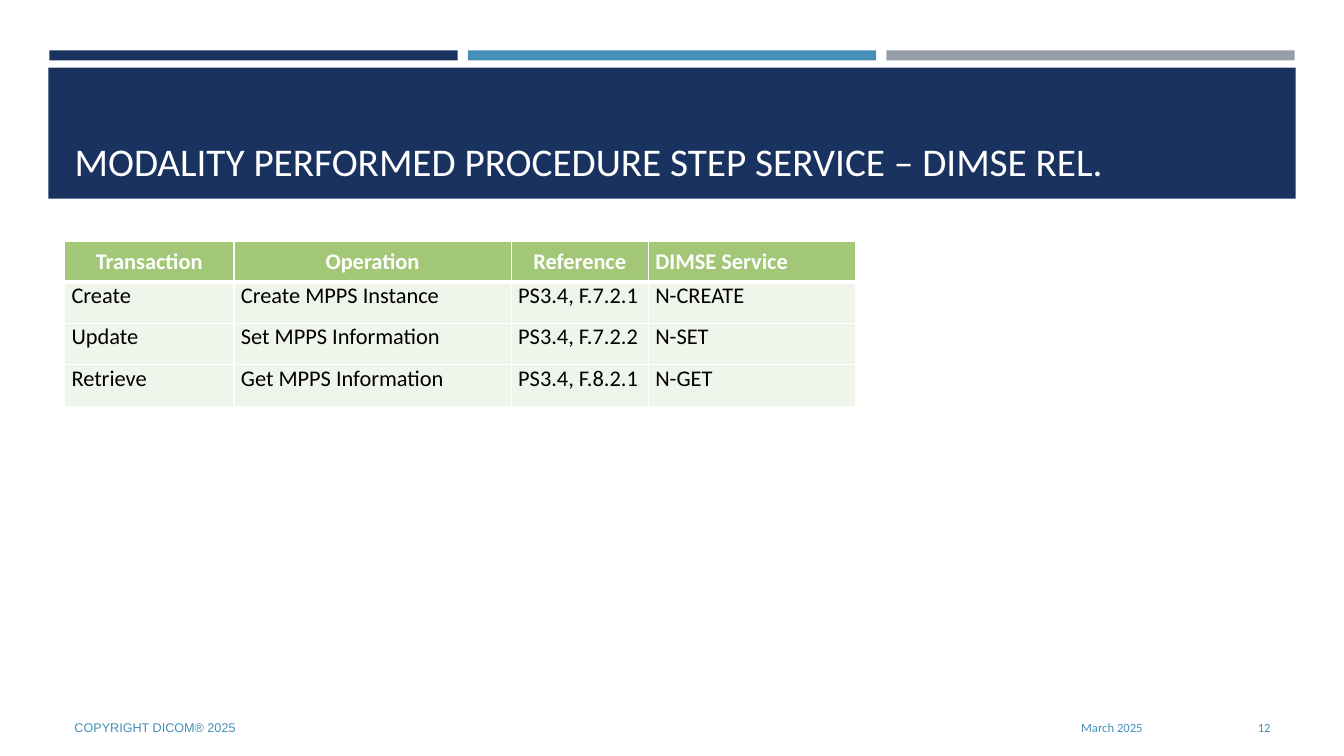
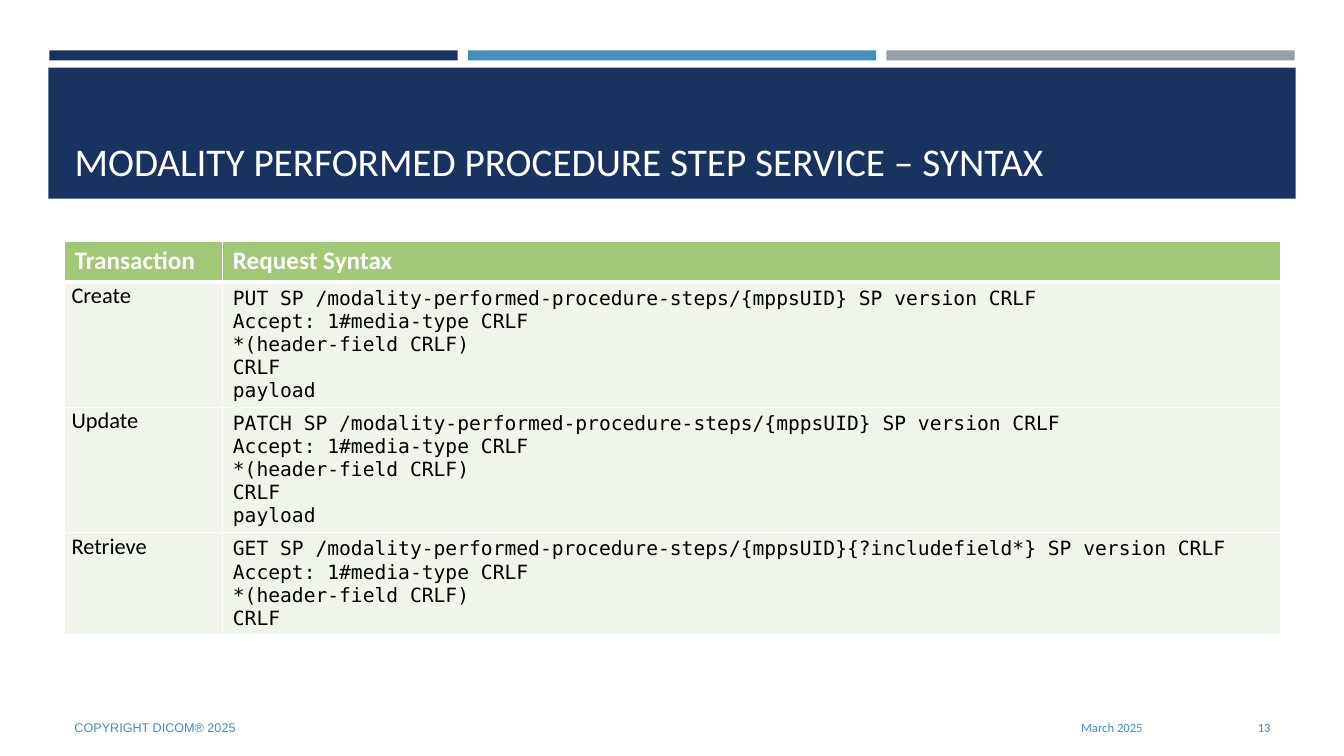
from dataclasses import dataclass, replace

from lxml.etree import SubElement
from pptx import Presentation
from pptx.dml.color import RGBColor
from pptx.enum.shapes import MSO_SHAPE
from pptx.enum.text import MSO_ANCHOR, MSO_AUTO_SIZE, PP_ALIGN
from pptx.oxml.ns import qn
from pptx.slide import Slide
from pptx.table import _Cell
from pptx.text.text import TextFrame
from pptx.util import Emu, Pt

EMU_PER_PX = 9144
NAVY, BLUE, GRAY = "1A3260", "4590B8", "969FA7"
GREEN, PALE_GREEN, WHITE, BLACK = "A2C777", "F0F5EC", "FFFFFF", "000000"
SLIDE_WIDTH, SLIDE_HEIGHT = 1333, 750
BAND_LEFT, BAND_TOP, BAND_WIDTH, BAND_STEP = 49, 50, 405, 415
TABLE_LEFT, TABLE_TOP = 64, 239
FOOTER_TOP, FOOTER_HEIGHT = 702, 40


@dataclass(frozen=True)
class Box:
    """A rectangle in px."""
    left: int
    top: int
    width: int
    height: int


@dataclass(frozen=True)
class TextStyle:
    """Character and paragraph format."""
    size: int
    color: str
    font: str = "Calibri"
    bold: bool = False
    align: PP_ALIGN = PP_ALIGN.LEFT
    spacing: int = 0


@dataclass(frozen=True)
class CellStyle:
    """Text format, placement and padding of a table cell."""
    text: TextStyle
    anchor: MSO_ANCHOR = MSO_ANCHOR.TOP
    margin_x: int = 10
    margin_y: int = 5


@dataclass(frozen=True)
class Footer:
    """One text at the foot of a slide."""
    text: str
    left: int
    width: int
    style: TextStyle


@dataclass(frozen=True)
class TableSlide:
    """Content of a slide with a title and a table."""
    number: int
    title: str
    columns: list[int]
    row_heights: list[int]
    header_styles: list[CellStyle]
    body_styles: list[CellStyle]
    rows: list[list[str]]


TITLE = TextStyle(28, WHITE)
FOOTER_RIGHT = TextStyle(9, BLUE, align=PP_ALIGN.RIGHT)
FOOTER_LEFT = TextStyle(9, BLUE, "Arial")
COMPACT = CellStyle(TextStyle(16, BLACK, spacing=2), margin_x=7, margin_y=0)
HEADING_TEXT = TextStyle(16, WHITE, bold=True, spacing=2)
HEADING = replace(COMPACT, text=HEADING_TEXT, anchor=MSO_ANCHOR.MIDDLE)
CENTERED_HEADING = replace(HEADING, text=replace(HEADING_TEXT, align=PP_ALIGN.CENTER))
LARGE_HEADING = CellStyle(TextStyle(18, WHITE, bold=True))
CODE = CellStyle(TextStyle(14, BLACK, "DejaVu Sans Mono"))

SERVICE = "MODALITY PERFORMED PROCEDURE STEP SERVICE – "
RESOURCE = "SP /modality-performed-procedure-steps/{mppsUID}"
REQUEST_END = " SP version CRLF\nAccept: 1#media-type CRLF\n*(header-field CRLF)\nCRLF"

SLIDES = [
    TableSlide(
        12, SERVICE + "DIMSE REL.", [168, 275, 136, 206], [41] * 4,
        [CENTERED_HEADING] * 3 + [HEADING], [COMPACT] * 4,
        [
            ["Transaction", "Operation", "Reference", "DIMSE Service"],
            ["Create", "Create MPPS Instance", "PS3.4, F.7.2.1", "N-CREATE"],
            ["Update", "Set MPPS Information", "PS3.4, F.7.2.2", "N-SET"],
            ["Retrieve", "Get MPPS Information", "PS3.4, F.8.2.1", "N-GET"],
        ],
    ),
    TableSlide(
        13, SERVICE + "SYNTAX", [157, 1049], [41, 124, 124, 101],
        [LARGE_HEADING] * 2, [COMPACT, CODE],
        [
            ["Transaction", "Request Syntax"],
            ["Create", f"PUT {RESOURCE}{REQUEST_END}\npayload"],
            ["Update", f"PATCH {RESOURCE}{REQUEST_END}\npayload"],
            ["Retrieve", f"GET {RESOURCE}{{?includefield*}}{REQUEST_END}"],
        ],
    ),
]


def px(length: int) -> Emu:
    """Turn px into EMU."""
    return Emu(length * EMU_PER_PX)


def rgb(color: str) -> RGBColor:
    """Turn a hex string into a colour."""
    return RGBColor.from_string(color)


def write_text(text_frame: TextFrame, text: str, style: TextStyle) -> None:
    """Set the text and format every paragraph and run."""
    text_frame.text = text
    for paragraph in text_frame.paragraphs:
        paragraph.alignment = style.align
        paragraph.space_before = paragraph.space_after = Pt(style.spacing)
        for run in paragraph.runs:
            run.font.size = Pt(style.size)
            run.font.name = style.font
            run.font.bold = style.bold
            run.font.color.rgb = rgb(style.color)


def add_title(slide: Slide, text: str) -> None:
    """Place and format the title placeholder."""
    title = slide.shapes.title
    title.left, title.top, title.width, title.height = map(px, (64, 77, 1206, 111))
    title.text_frame.vertical_anchor = MSO_ANCHOR.BOTTOM
    title.text_frame.word_wrap = True
    title.text_frame.auto_size = MSO_AUTO_SIZE.NONE
    write_text(title.text_frame, text, TITLE)


def add_band(slide: Slide, box: Box, color: str) -> None:
    """Draw a filled band behind the title."""
    band = slide.shapes.add_shape(
        MSO_SHAPE.RECTANGLE, px(box.left), px(box.top), px(box.width), px(box.height)
    )
    band.shadow.inherit = False
    band.fill.solid()
    band.fill.fore_color.rgb = rgb(color)
    band.line.fill.background()
    slide.shapes.title.element.addprevious(band.element)


def add_bands(slide: Slide) -> None:
    """Draw the three thin bands and the title band."""
    for index, color in enumerate((NAVY, BLUE, GRAY)):
        add_band(slide, Box(BAND_LEFT + index * BAND_STEP, BAND_TOP, BAND_WIDTH, 10), color)
    add_band(slide, Box(48, 67, 1237, 130), NAVY)


def add_footer(slide: Slide, footer: Footer) -> None:
    """Add one footer text."""
    box = slide.shapes.add_textbox(
        px(footer.left), px(FOOTER_TOP), px(footer.width), px(FOOTER_HEIGHT)
    )
    box.text_frame.word_wrap = True
    box.text_frame.vertical_anchor = MSO_ANCHOR.MIDDLE
    write_text(box.text_frame, footer.text, footer.style)


def set_borders(cell: _Cell, top: int, bottom: int) -> None:
    """Give a cell white borders, with top and bottom widths in points."""
    properties = cell._tc.get_or_add_tcPr()
    for side, width in (("L", 1), ("R", 1), ("T", top), ("B", bottom)):
        line = SubElement(properties, qn(f"a:ln{side}"), w=str(Pt(width)))
        fill = SubElement(line, qn("a:solidFill"))
        SubElement(fill, qn("a:srgbClr"), val=WHITE)


def format_cell(cell: _Cell, text: str, style: CellStyle, row: int) -> None:
    """Write a cell and set its padding, borders and fill."""
    write_text(cell.text_frame, text, style.text)
    cell.vertical_anchor = style.anchor
    cell.margin_left = cell.margin_right = px(style.margin_x)
    cell.margin_top = cell.margin_bottom = px(style.margin_y)
    set_borders(cell, top=3 if row == 1 else 1, bottom=3 if row == 0 else 1)
    cell.fill.solid()
    cell.fill.fore_color.rgb = rgb(PALE_GREEN if row else GREEN)


def add_content_table(slide: Slide, content: TableSlide) -> None:
    """Add the table of a slide."""
    table = slide.shapes.add_table(
        len(content.rows), len(content.columns), px(TABLE_LEFT), px(TABLE_TOP),
        px(sum(content.columns)), px(sum(content.row_heights)),
    ).table
    for column, width in zip(table.columns, content.columns):
        column.width = px(width)
    for row, height in zip(table.rows, content.row_heights):
        row.height = px(height)
    for row_index, texts in enumerate(content.rows):
        styles = content.body_styles if row_index else content.header_styles
        for column_index, (text, style) in enumerate(zip(texts, styles)):
            format_cell(table.cell(row_index, column_index), text, style, row_index)


def build_slide(slide: Slide, content: TableSlide) -> None:
    """Fill one slide."""
    add_title(slide, content.title)
    add_bands(slide)
    add_content_table(slide, content)
    for footer in (
        Footer("March 2025", 832, 311, FOOTER_RIGHT),
        Footer("COPYRIGHT DICOM® 2025", 64, 756, FOOTER_LEFT),
        Footer(str(content.number), 1155, 115, FOOTER_RIGHT),
    ):
        add_footer(slide, footer)


def main() -> None:
    """Build and save the presentation."""
    presentation = Presentation()
    presentation.slide_width = px(SLIDE_WIDTH)
    presentation.slide_height = px(SLIDE_HEIGHT)
    title_only = presentation.slide_layouts[5]
    for content in SLIDES:
        build_slide(presentation.slides.add_slide(title_only), content)
    presentation.save("out.pptx")


if __name__ == "__main__":
    main()
